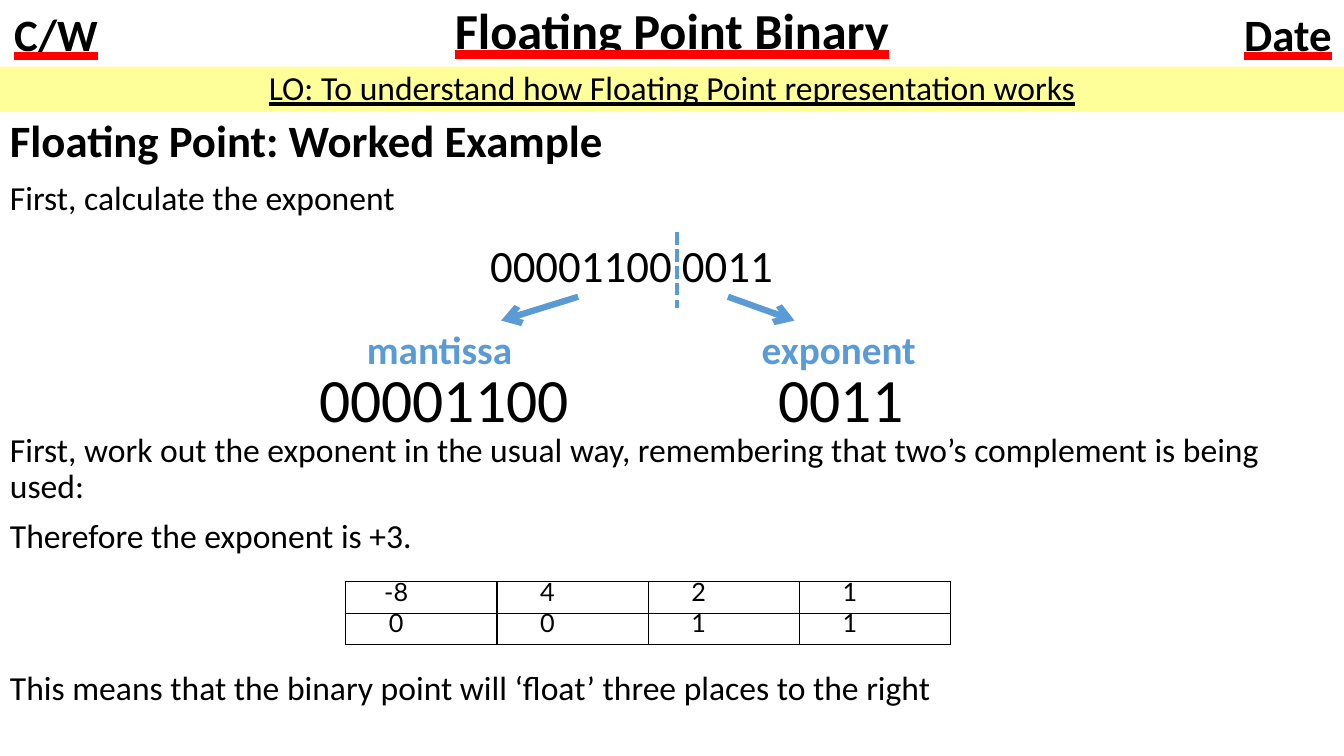
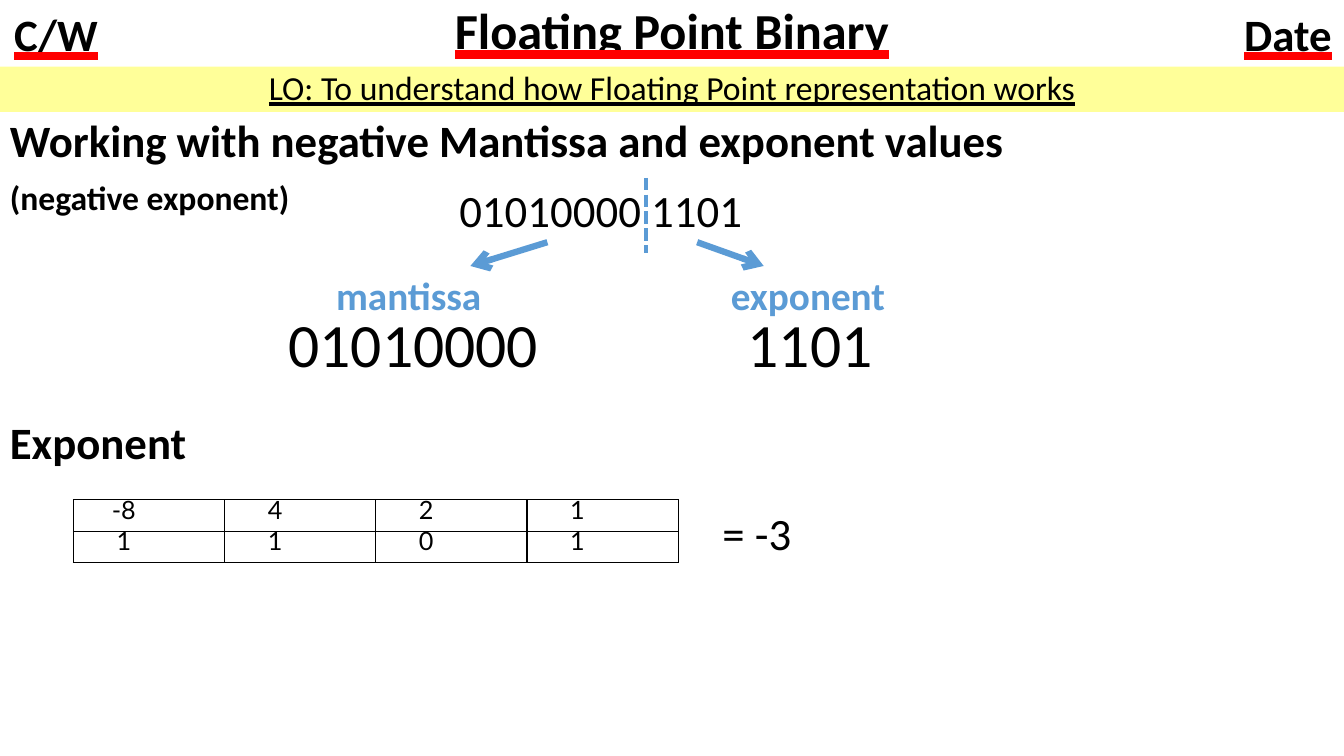
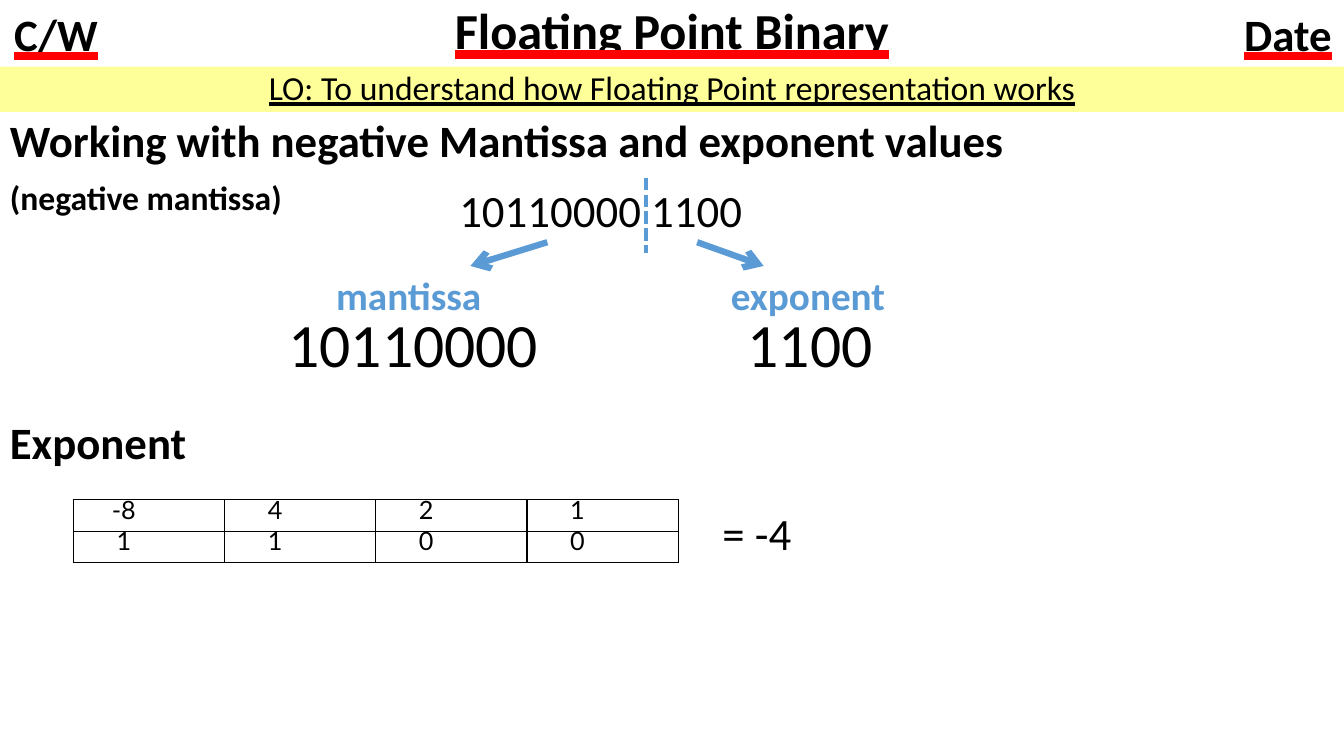
import pptx
import pptx.util
import pptx.dml.color
import pptx.enum.dml
import pptx.enum.shapes
import pptx.enum.text
from lxml import etree
from pptx.oxml.ns import qn

Pt = pptx.util.Pt
RGBColor = pptx.dml.color.RGBColor
ALIGN = pptx.enum.text.PP_ALIGN
ANCHOR = pptx.enum.text.MSO_ANCHOR
HEAVY = pptx.enum.text.MSO_UNDERLINE.HEAVY_LINE

BLACK = RGBColor(0x00, 0x00, 0x00)
WHITE = RGBColor(0xFF, 0xFF, 0xFF)
YELLOW = RGBColor(0xFF, 0xFF, 0x99)
BLUE = RGBColor(0x5B, 0x9B, 0xD5)
RED = RGBColor(0xFF, 0x00, 0x00)
FONT, TABLE_FONT = "Calibri", "Lato"
WIDTH, HEIGHT = 960, 540

TITLE = "Floating Point Binary"
OBJECTIVE = "LO: To understand how Floating Point representation works"
CORNERS = [("C/W", 0), ("Date", 880)]
PLACE_VALUES = ["-8", "4", "2", "1"]
NEGATIVE_HEADING = "Working with negative Mantissa and exponent values"

# Body lines: text, size, bold, space before
SLIDES = [
    {"body": [("Floating Point: Worked Example", 32, True, 10),
              ("First, calculate the exponent", 24, False, 10),
              ("First, work out the exponent in the usual way, remembering that "
               "two’s complement is being used:", 24, False, 154),
              ("Therefore the exponent is +3.", 24, False, 10),
              ("This means that the binary point will ‘float’ three places "
               "to the right", 24, False, 82)],
     "mantissa": "00001100", "exponent": "0011",
     "diagram": (343, 166), "table": (247, 415.5), "answer": None},
    {"body": [(NEGATIVE_HEADING, 32, True, 10),
              ("(negative exponent)", 24, True, 10),
              ("Exponent", 32, True, 145)],
     "mantissa": "01010000", "exponent": "1101",
     "diagram": (321, 127), "table": (52.5, 357), "answer": "= -3"},
    {"body": [(NEGATIVE_HEADING, 32, True, 10),
              ("(negative mantissa)", 24, True, 10),
              ("Exponent", 32, True, 145)],
     "mantissa": "10110000", "exponent": "1100",
     "diagram": (321, 127), "table": (52.5, 357), "answer": "= -4"},
]


def add_run(p, text, size, color=BLACK, bold=False, underline=None, font=FONT):
    r = p.add_run()
    r.text = text
    f = r.font
    f.name, f.size, f.bold, f.underline = font, Pt(size), bold, underline
    f.color.rgb = color
    return r


def add_heading_run(p, text, size):
    """Bold text with a heavy red underline."""
    r = add_run(p, text, size, bold=True, underline=HEAVY)
    u_fill = etree.Element(qn("a:uFill"))
    solid = etree.SubElement(u_fill, qn("a:solidFill"))
    etree.SubElement(solid, qn("a:srgbClr"), val=str(RED))
    r.font._element.find(qn("a:latin")).addprevious(u_fill)


def add_text_box(s, x, y, w, h):
    tf = s.shapes.add_textbox(Pt(x), Pt(y), Pt(w), Pt(h)).text_frame
    tf.word_wrap = True
    return tf


def add_label(s, x, y, w, h, text, size, color=BLACK, bold=False):
    tf = add_text_box(s, x, y, w, h)
    add_run(tf.paragraphs[0], text, size, color, bold)


def add_block(s, x, y, w, h, color):
    """Filled rectangle without outline; returns its text frame."""
    sp = s.shapes.add_shape(pptx.enum.shapes.MSO_SHAPE.RECTANGLE,
                            Pt(x), Pt(y), Pt(w), Pt(h))
    sp.shadow.inherit = False
    sp.fill.solid()
    sp.fill.fore_color.rgb = color
    sp.line.fill.background()
    sp.text_frame.word_wrap = True
    sp.text_frame.paragraphs[0].alignment = ALIGN.CENTER
    return sp.text_frame


def add_line(s, start, end, width):
    line = s.shapes.add_connector(pptx.enum.shapes.MSO_CONNECTOR.STRAIGHT,
                                  *map(Pt, start + end))
    line.line.color.rgb = BLUE
    line.line.width = Pt(width)
    etree.SubElement(line._element.spPr, qn("a:effectLst"))
    return line


def add_header(s):
    title = s.shapes.title
    title.left, title.top = Pt(0), Pt(0)
    title.width, title.height = Pt(WIDTH), Pt(47.5)
    tf = title.text_frame
    tf.auto_size = pptx.enum.text.MSO_AUTO_SIZE.NONE
    tf.vertical_anchor = ANCHOR.MIDDLE
    p = tf.paragraphs[0]
    p.alignment, p.line_spacing = ALIGN.CENTER, 0.9
    add_heading_run(p, TITLE, 36)

    for text, x in CORNERS:
        tf = add_block(s, x, 0.5, 80, 47, WHITE)
        tf.word_wrap = False
        tf.vertical_anchor = ANCHOR.MIDDLE
        add_heading_run(tf.paragraphs[0], text, 32)

    tf = add_block(s, 0, 47.5, WIDTH, 32.5, YELLOW)
    tf.vertical_anchor = ANCHOR.TOP
    p = tf.paragraphs[0]
    p.line_spacing, p.space_before = 0.9, Pt(10)
    add_run(p, OBJECTIVE, 24, underline=True)


def add_body(s, lines):
    tf = add_text_box(s, 0, 81.5, WIDTH, HEIGHT - 81.5)
    for i, (text, size, bold, before) in enumerate(lines):
        p = tf.add_paragraph() if i else tf.paragraphs[0]
        p.line_spacing, p.space_before = 0.9, Pt(before)
        add_run(p, text, size, bold=bold)


def add_split_diagram(s, x, y, mantissa, exponent):
    """Whole number, divider, and an arrow down to each of its parts."""
    add_label(s, x, y, 226, 46, f"{mantissa} {exponent}", 32)
    # name, digits, label x, digits x, digits width, arrow start and end x
    parts = [("mantissa", mantissa, -88, -122, 210, 70, 15),
             ("exponent", exponent, 194, 206, 120, 177, 224.5)]
    for name, digits, label_x, digits_x, w, start, end in parts:
        add_label(s, x + digits_x, y + 88, w, 60, digits, 44)
        add_label(s, x + label_x, y + 63, 130, 41, name, 28, BLUE, True)
        arrow = add_line(s, (x + start, y + 46), (x + end, y + 63), 4.5)
        etree.SubElement(arrow.line._get_or_add_ln(), qn("a:tailEnd"), type="arrow")
    divider = add_line(s, (x + 140.5, y), (x + 140.5, y + 54), 3)
    divider.line.dash_style = pptx.enum.dml.MSO_LINE.SQUARE_DOT


def format_cell(cell, text):
    cell.vertical_anchor = ANCHOR.MIDDLE
    cell.margin_left, cell.margin_right = Pt(7), Pt(43)
    cell.margin_top = cell.margin_bottom = Pt(0)
    tc_pr = cell._tc.get_or_add_tcPr()
    for side in ("lnL", "lnR", "lnT", "lnB"):
        ln = etree.SubElement(tc_pr, qn(f"a:{side}"), w=str(Pt(1)))
        solid = etree.SubElement(ln, qn("a:solidFill"))
        etree.SubElement(solid, qn("a:srgbClr"), val=str(BLACK))
    cell.fill.background()
    p = cell.text_frame.paragraphs[0]
    p.alignment, p.line_spacing, p.space_before = ALIGN.CENTER, Pt(13), Pt(1.4)
    add_run(p, text, 18, font=TABLE_FONT)


def add_place_value_table(s, x, y, bits):
    rows = [PLACE_VALUES, list(bits)]
    table = s.shapes.add_table(len(rows), len(PLACE_VALUES),
                               Pt(x), Pt(y), Pt(432), Pt(45)).table
    table.first_row = table.horz_banding = False
    for i, row in enumerate(rows):
        table.rows[i].height = Pt(22.5)
        for j, text in enumerate(row):
            format_cell(table.cell(i, j), text)


def main():
    prs = pptx.Presentation()
    prs.slide_width, prs.slide_height = Pt(WIDTH), Pt(HEIGHT)
    for content in SLIDES:
        s = prs.slides.add_slide(prs.slide_layouts[5])
        add_header(s)
        add_body(s, content["body"])
        add_split_diagram(s, *content["diagram"],
                          content["mantissa"], content["exponent"])
        x, y = content["table"]
        add_place_value_table(s, x, y, content["exponent"])
        if content["answer"]:
            add_label(s, x + 456.5, y + 1, 144, 46, content["answer"], 32)
    prs.save("out.pptx")


if __name__ == "__main__":
    main()
